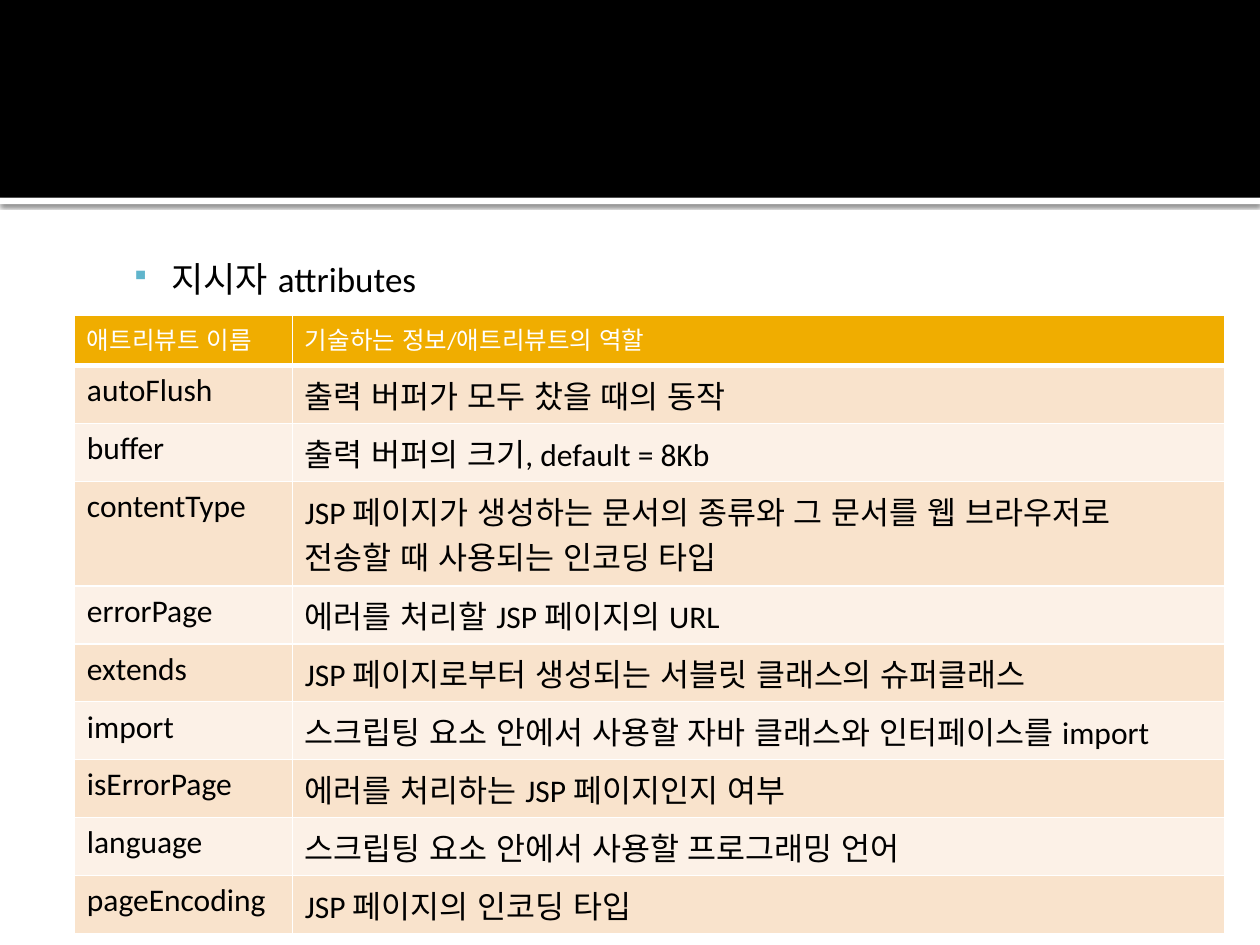
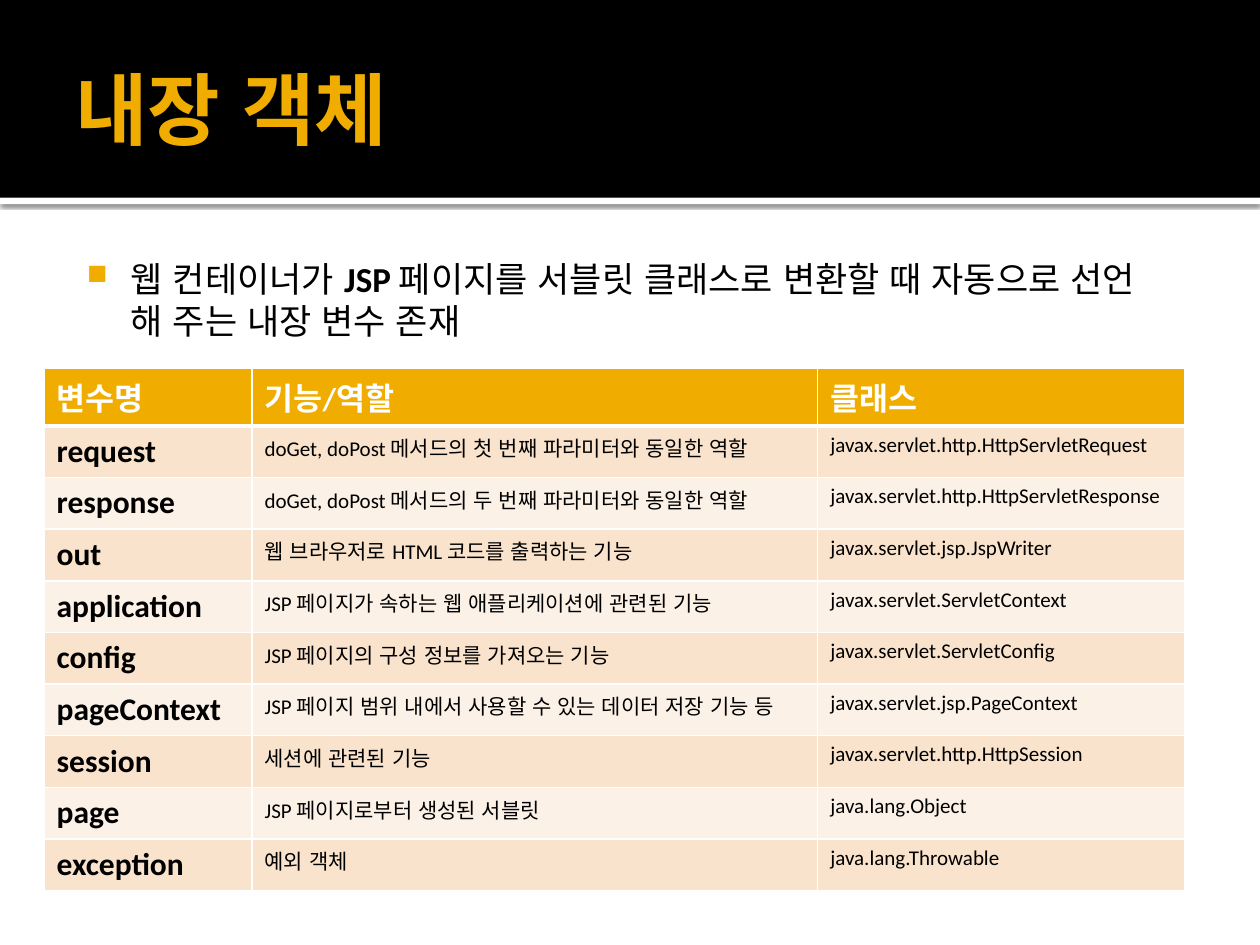
from lxml.etree import Element, SubElement
from pptx import Presentation
from pptx.dml.color import RGBColor
from pptx.enum.lang import MSO_LANGUAGE_ID
from pptx.enum.shapes import MSO_SHAPE
from pptx.enum.text import MSO_ANCHOR
from pptx.oxml.ns import qn
from pptx.util import Inches, Pt

FONT = "Calibri"
BLACK, WHITE, GOLD, BLUE = "000000", "FFFFFF", "F0AD00", "60B5CC"
ROW_FILLS = ("F9E3CC", "FCF1E7")

# Content: bullets hold (text, bold) runs, tables start with the header row
DIRECTIVES = {
    "title": None,
    "bullet": {"runs": [("지시자 attributes", False)], "symbol": "▪",
               "color": BLUE, "size": 75, "margin": 0.8, "indent": -0.32},
    "table": {
        "at": (0.59, 2.5),
        "columns": (1.73, 7.4),
        "heights": [0.4] + [0.46] * 2 + [0.83] + [0.46] * 6,
        "right_margin": 0.25,
        "header": (14, False),
        "body": ((18, False), (18, False)),
        "rows": [
            ("애트리뷰트 이름", "기술하는 정보/애트리뷰트의 역할"),
            ("autoFlush", "출력 버퍼가 모두 찼을 때의 동작"),
            ("buffer", "출력 버퍼의 크기, default = 8Kb"),
            ("contentType", "JSP 페이지가 생성하는 문서의 종류와 그 문서를 웹 브라우저로 "
                            "전송할 때 사용되는 인코딩 타입"),
            ("errorPage", "에러를 처리할 JSP 페이지의 URL"),
            ("extends", "JSP 페이지로부터 생성되는 서블릿 클래스의 슈퍼클래스"),
            ("import", "스크립팅 요소 안에서 사용할 자바 클래스와 인터페이스를 import"),
            ("isErrorPage", "에러를 처리하는 JSP 페이지인지 여부"),
            ("language", "스크립팅 요소 안에서 사용할 프로그래밍 언어"),
            ("pageEncoding", "JSP 페이지의 인코딩 타입"),
        ],
    },
}
BUILT_IN_OBJECTS = {
    "title": "내장 객체",
    "bullet": {"runs": [("웹 컨테이너가 ", False), ("JSP ", True),
                        ("페이지를 서블릿 클래스로 변환할 때 자동으로 선언 해 주는 내장 변수 존재", False)],
               "symbol": "■", "color": GOLD, "size": 80, "margin": 0.48, "indent": -0.35},
    "table": {
        "at": (0.35, 2.92),
        "columns": (1.65, 4.49, 2.91),
        "heights": [0.46] + [0.41] * 9,
        "right_margin": 0.1,
        "header": (18, True),
        "body": ((18, True), (12, False), (12, False)),
        "rows": [
            ("변수명", "기능/역할", "클래스"),
            ("request", "doGet, doPost 메서드의 첫 번째 파라미터와 동일한 역할",
             "javax.servlet.http.HttpServletRequest"),
            ("response", "doGet, doPost 메서드의 두 번째 파라미터와 동일한 역할",
             "javax.servlet.http.HttpServletResponse"),
            ("out", "웹 브라우저로 HTML 코드를 출력하는 기능", "javax.servlet.jsp.JspWriter"),
            ("application", "JSP 페이지가 속하는 웹 애플리케이션에 관련된 기능",
             "javax.servlet.ServletContext"),
            ("config", "JSP 페이지의 구성 정보를 가져오는 기능", "javax.servlet.ServletConfig"),
            ("pageContext", "JSP 페이지 범위 내에서 사용할 수 있는 데이터 저장 기능 등",
             "javax.servlet.jsp.PageContext"),
            ("session", "세션에 관련된 기능", "javax.servlet.http.HttpSession"),
            ("page", "JSP 페이지로부터 생성된 서블릿", "java.lang.Object"),
            ("exception", "예외 객체", "java.lang.Throwable"),
        ],
    },
}


def set_fill(item, color):
    item.fill.solid()
    item.fill.fore_color.rgb = RGBColor.from_string(color)


def format_run(run, size, color, bold=False):
    run.font.name = FONT
    run.font.language_id = MSO_LANGUAGE_ID.KOREAN
    run.font.size = Pt(size)
    run.font.bold = bold
    run.font.color.rgb = RGBColor.from_string(color)


def add_band(slide, top, height, color):
    band = slide.shapes.add_shape(MSO_SHAPE.RECTANGLE, 0, Inches(top), Inches(10), Inches(height))
    band.shadow.inherit = False
    set_fill(band, color)
    band.line.fill.background()
    return band


def add_header_bands(slide):
    rule = add_band(slide, 1.57, 0.05, WHITE)
    effects = rule._element.spPr.find(qn("a:effectLst"))
    shadow = SubElement(effects, qn("a:outerShdw"), blurRad=str(Pt(2.5)), dist=str(Pt(0.8)),
                        dir="5400000", algn="tl", rotWithShape="0")
    shade = SubElement(shadow, qn("a:srgbClr"), val=BLACK)
    SubElement(shade, qn("a:alpha"), val="60000")
    add_band(slide, 0, 1.57, BLACK)


def add_text_frame(slide, top, height, insets):
    frame = slide.shapes.add_textbox(Inches(0.5), Inches(top), Inches(9), Inches(height)).text_frame
    frame.word_wrap = True
    (frame.margin_left, frame.margin_top,
     frame.margin_right, frame.margin_bottom) = map(Inches, insets)
    return frame


def add_title(slide, text):
    frame = add_text_frame(slide, 0.17, 1.37, (0.1, 0.05, 0.05, 0.05))
    frame.vertical_anchor = MSO_ANCHOR.MIDDLE
    frame.text = text
    format_run(frame.paragraphs[0].runs[0], 45, GOLD, True)


def add_bullet(slide, bullet):
    paragraph = add_text_frame(slide, 1.94, 5.06, (0.06, 0.1, 0.22, 0.05)).paragraphs[0]
    for text, bold in bullet["runs"]:
        run = paragraph.add_run()
        run.text = text
        format_run(run, 20, BLACK, bold)
    properties = paragraph._p.get_or_add_pPr()
    properties.set("marL", str(Inches(bullet["margin"])))
    properties.set("indent", str(Inches(bullet["indent"])))
    color = SubElement(properties, qn("a:buClr"))
    SubElement(color, qn("a:srgbClr"), val=bullet["color"])
    SubElement(properties, qn("a:buSzPct"), val=str(bullet["size"] * 1000))
    SubElement(properties, qn("a:buChar"), char=bullet["symbol"])


def add_bottom_border(cell, width, color):
    border = Element(qn("a:lnB"), w=str(Pt(width)))
    SubElement(SubElement(border, qn("a:solidFill")), qn("a:srgbClr"), val=color)
    cell._tc.get_or_add_tcPr().insert(0, border)


def add_data_table(slide, data):
    rows, widths, heights = data["rows"], data["columns"], data["heights"]
    left, top = data["at"]
    table = slide.shapes.add_table(len(rows), len(widths), Inches(left), Inches(top),
                                   Inches(sum(widths)), Inches(sum(heights))).table
    for column, width in zip(table.columns, widths):
        column.width = Inches(width)
    for row_index, row in enumerate(rows):
        table.rows[row_index].height = Inches(heights[row_index])
        for column_index, text in enumerate(row):
            cell = table.cell(row_index, column_index)
            if row_index == 0:
                fill, color, (size, bold) = GOLD, WHITE, data["header"]
                add_bottom_border(cell, 3, WHITE)
            else:
                fill, color = ROW_FILLS[(row_index - 1) % 2], BLACK
                size, bold = data["body"][column_index]
            set_fill(cell, fill)
            if column_index:
                cell.margin_right = Inches(data["right_margin"])
            cell.text_frame.text = text
            format_run(cell.text_frame.paragraphs[0].runs[0], size, color, bold)


def main():
    presentation = Presentation()
    presentation.slide_width, presentation.slide_height = Inches(10), Inches(7.5)
    for content in (DIRECTIVES, BUILT_IN_OBJECTS):
        slide = presentation.slides.add_slide(presentation.slide_layouts[6])
        add_header_bands(slide)
        if content["title"]:
            add_title(slide, content["title"])
        add_bullet(slide, content["bullet"])
        add_data_table(slide, content["table"])
    presentation.save("out.pptx")


if __name__ == "__main__":
    main()
